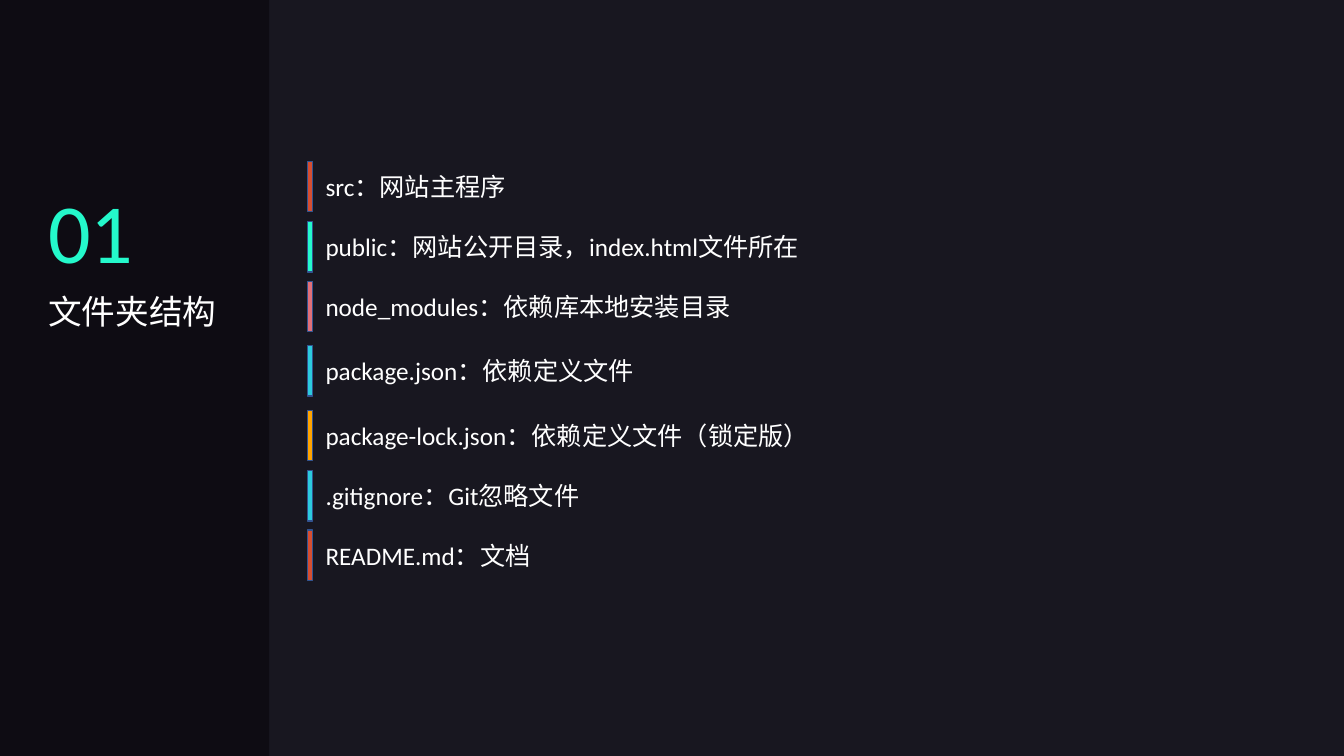
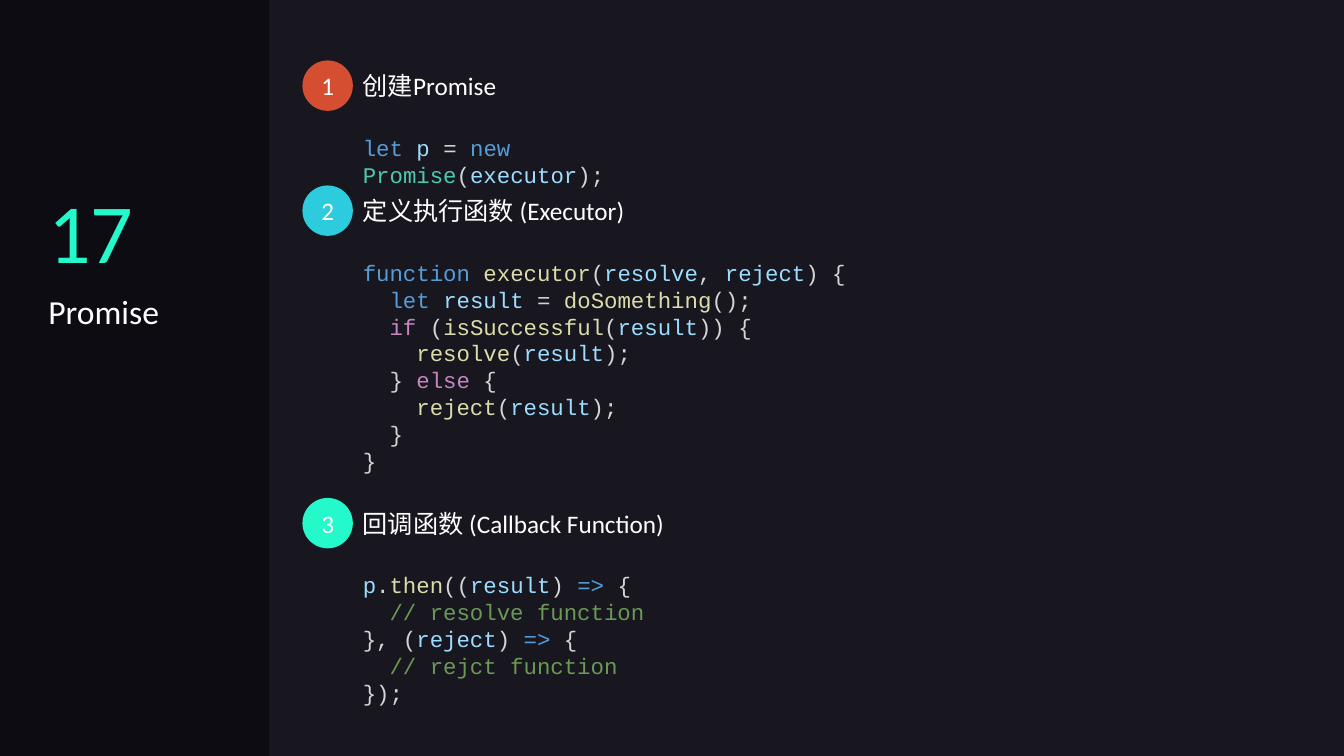
import itertools

import pptx
import pptx.dml.color
import pptx.enum.shapes
import pptx.enum.text
import pptx.util

Inches = pptx.util.Inches
Pt = pptx.util.Pt
SHAPE = pptx.enum.shapes.MSO_SHAPE
ALIGN = pptx.enum.text.PP_ALIGN
ANCHOR = pptx.enum.text.MSO_ANCHOR
FIT = pptx.enum.text.MSO_AUTO_SIZE

COLORS = {
    "back": "181720", "band": "0E0C13", "white": "FFFFFF", "edge": "325491",
    "mint": "24F9CB", "red": "D64E31", "pink": "E17079", "cyan": "2CCBDE",
    "orange": "FFA400",
    # Code colours
    "keyword": "569CD6", "control": "C586C0", "class": "4EC9B0",
    "function": "DCDCAA", "variable": "9CDCFE", "symbol": "D4D4D4",
    "comment": "6A9955",
}
TOKENS = {"let": "keyword", "new": "keyword", "function": "keyword",
          "=>": "keyword", "if": "control", "else": "control"}


def color(name):
    return pptx.dml.color.RGBColor.from_string(COLORS[name])


def char_class(c):
    return "word" if c.isalnum() else "space" if c.isspace() else "symbol"


def highlight(line):
    """Split a line of code into (text, colour name) pairs."""
    if line.lstrip().startswith("//"):
        return [(line, "comment")]
    groups = [(k, "".join(g)) for k, g in itertools.groupby(line, char_class)]
    pairs = []
    for i, (kind, text) in enumerate(groups):
        following = groups[i + 1][1] if i + 1 < len(groups) else ""
        if text in TOKENS:
            name = TOKENS[text]
        elif kind != "word":
            name = "symbol"
        elif text[0].isupper():
            name = "class"
        else:
            name = "function" if following.startswith("(") else "variable"
        pairs.append((text, name))
    return pairs


class Deck:
    FONT = "Calibri"
    CODE_FONT = "Courier New"

    def __init__(self):
        self.prs = pptx.Presentation()
        self.prs.slide_width = Inches(13.33)
        self.prs.slide_height = Inches(7.5)
        fill = self.prs.slide_master.background.fill
        fill.solid()
        fill.fore_color.rgb = color("back")
        self.slide = None

    def style(self, p, size, name="white", font=FONT):
        p.font.name = font
        p.font.size = Pt(size)
        p.font.color.rgb = color(name)

    def shape(self, kind, x, y, w, h, fill, line=None):
        sp = self.slide.shapes.add_shape(
            kind, Inches(x), Inches(y), Inches(w), Inches(h))
        sp.shadow.inherit = False
        sp.fill.solid()
        sp.fill.fore_color.rgb = color(fill)
        if line:
            sp.line.color.rgb = color(line)
            sp.line.width = Pt(1)
        else:
            sp.line.fill.background()
        return sp

    def frame(self, x, y, w, h):
        box = self.slide.shapes.add_textbox(
            Inches(x), Inches(y), Inches(w), Inches(h))
        box.text_frame.word_wrap = True
        return box.text_frame

    def text(self, text, x, y, w, h, size, name="white"):
        p = self.frame(x, y, w, h).paragraphs[0]
        p.text = text
        self.style(p, size, name)

    def code(self, lines, x, y, w, h):
        tf = self.frame(x, y, w, h)
        for i, line in enumerate(lines):
            p = tf.add_paragraph() if i else tf.paragraphs[0]
            self.style(p, 16, "symbol", self.CODE_FONT)
            for text, name in highlight(line):
                r = p.add_run()
                r.text = text
                r.font.color.rgb = color(name)

    def new_slide(self, number, title):
        self.slide = self.prs.slides.add_slide(self.prs.slide_layouts[5])
        sp = self.slide.shapes.title
        band = self.shape(SHAPE.RECTANGLE, 0, 0, 2.67, 7.5, "band")
        sp.element.addprevious(band.element)  # band goes behind the title
        sp.left, sp.top = Inches(0.38), Inches(2.84)
        sp.width, sp.height = Inches(1.9), Inches(0.5)
        tf = sp.text_frame
        tf.text = title
        tf.word_wrap = True
        tf.auto_size = FIT.NONE
        tf.vertical_anchor = ANCHOR.TOP
        p = tf.paragraphs[0]
        p.alignment = ALIGN.LEFT
        self.style(p, 24)
        self.text(number, 0.38, 1.73, 1.05, 1.11, 60, "mint")

    def entry(self, text, y, fill):
        self.shape(SHAPE.RECTANGLE, 3.05, y, 0.05, 0.5, fill, "edge")
        self.text(text, 3.13, y + 0.05, 5.22, 0.4, 18)

    def step(self, number, heading, width, y, fill):
        sp = self.shape(SHAPE.OVAL, 3, y, 0.5, 0.5, fill)
        tf = sp.text_frame
        tf.margin_left = tf.margin_right = 0
        tf.vertical_anchor = ANCHOR.MIDDLE
        p = tf.paragraphs[0]
        p.text = str(number)
        p.alignment = ALIGN.CENTER
        self.style(p, 18)
        self.text(heading, 3.5, y + 0.05, width, 0.4, 18)


def main():
    deck = Deck()

    # Folder structure
    deck.new_slide("01", "文件夹结构")
    for text, y, fill in [
        ("src：网站主程序", 1.6, "red"),
        ("public：网站公开目录，index.html文件所在", 2.2, "mint"),
        ("node_modules：依赖库本地安装目录", 2.79, "pink"),
        ("package.json：依赖定义文件", 3.43, "cyan"),
        ("package-lock.json：依赖定义文件（锁定版）", 4.07, "orange"),
        (".gitignore：Git忽略文件", 4.67, "cyan"),
        ("README.md：文档", 5.26, "red"),
    ]:
        deck.entry(text, y, fill)

    # Promise steps: heading, its width, top, colour, code width, code
    deck.new_slide("17", "Promise")
    steps = [
        ("创建Promise", 1.54, 0.6, "red", 3.88, [
            "let p = new Promise(executor);",
        ]),
        ("定义执行函数 (Executor)", 2.82, 1.84, "cyan", 6.67, [
            "function executor(resolve, reject) {",
            "  let result = doSomething();",
            "  if (isSuccessful(result)) {",
            "    resolve(result);",
            "  } else {",
            "    reject(result);",
            "  }",
            "}",
        ]),
        ("回调函数 (Callback Function)", 3.23, 4.94, "mint", 6.67, [
            "p.then((result) => {",
            "  // resolve function",
            "}, (reject) => {",
            "  // rejct function",
            "});",
        ]),
    ]
    for number, (heading, width, y, fill, code_width, lines) in enumerate(steps, 1):
        deck.step(number, heading, width, y, fill)
        deck.code(lines, 3.5, y + 0.68, code_width, 0.1 + 0.27 * len(lines))

    deck.prs.save("out.pptx")


if __name__ == "__main__":
    main()
